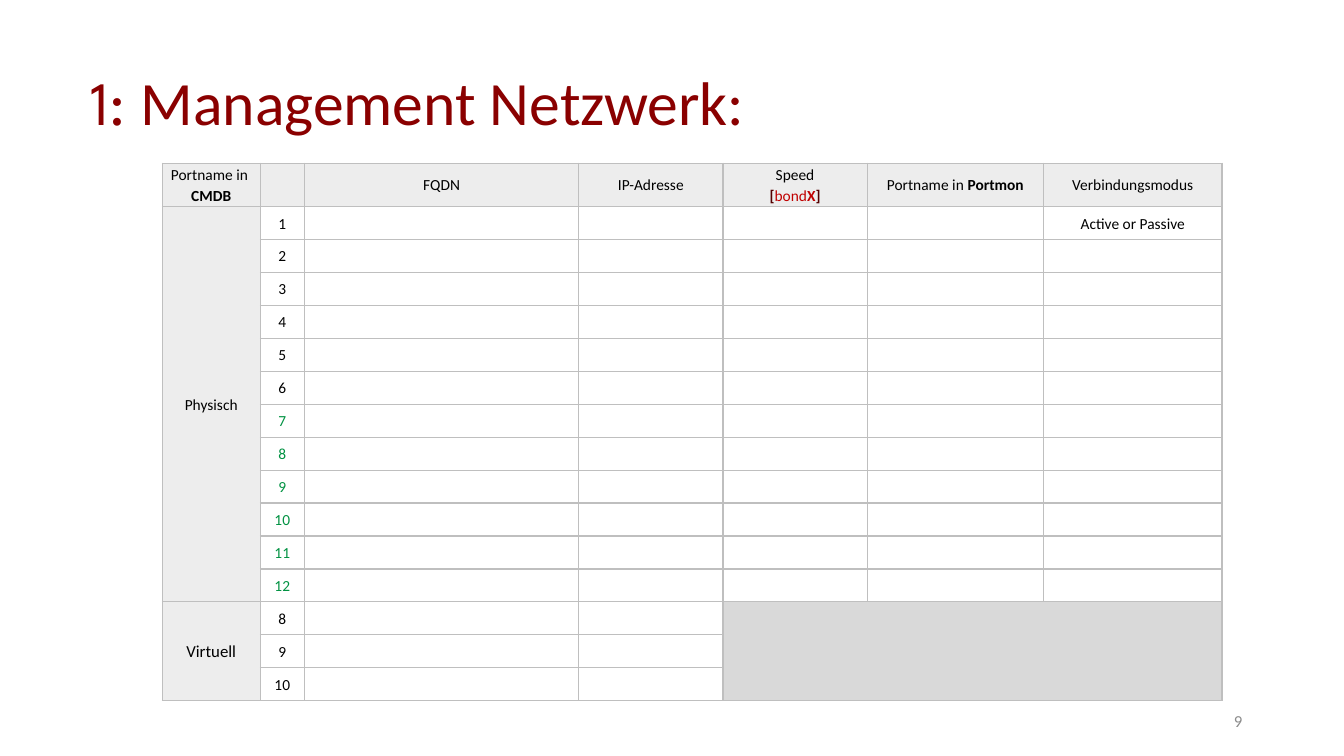
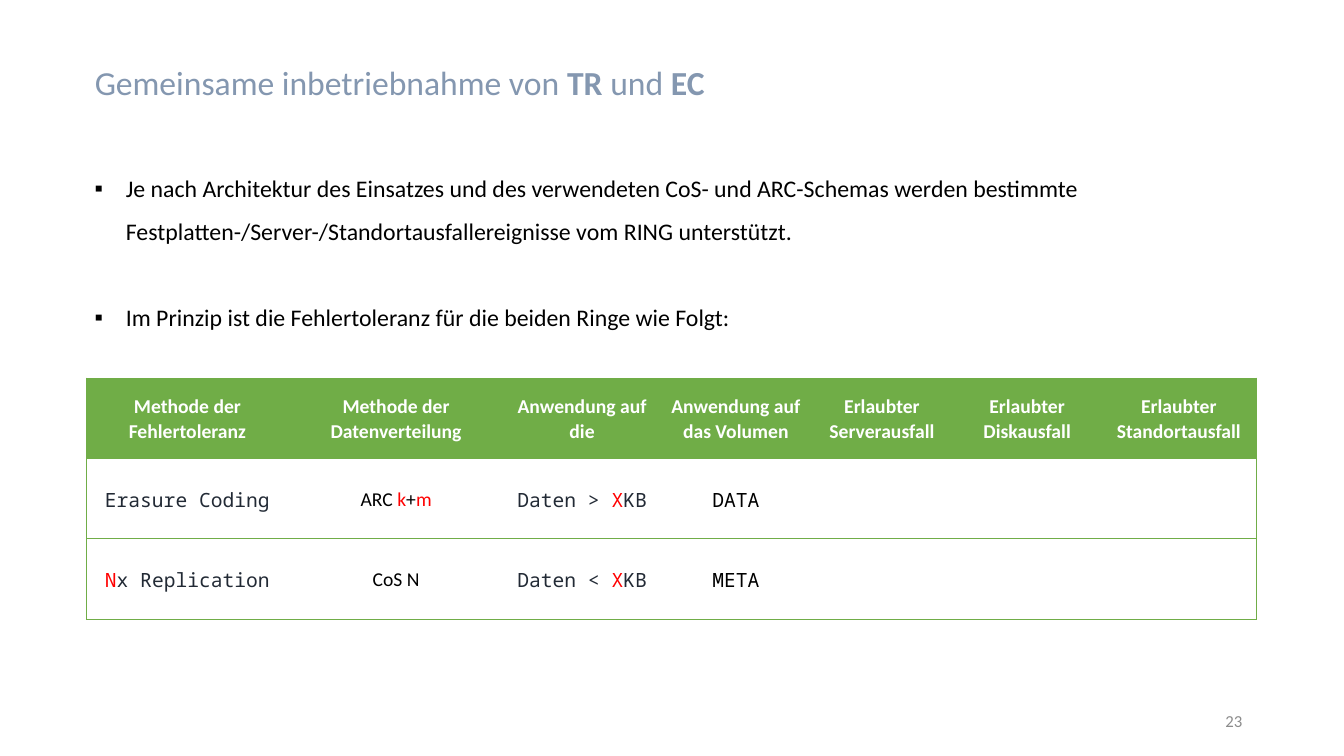
import dataclasses
import typing

import pptx
import pptx.dml.color
import pptx.enum.text
import pptx.oxml
import pptx.oxml.ns
import pptx.util

RGBColor = pptx.dml.color.RGBColor
Pt = pptx.util.Pt
PP_ALIGN = pptx.enum.text.PP_ALIGN
MSO_ANCHOR = pptx.enum.text.MSO_ANCHOR

BLACK = RGBColor(0x00, 0x00, 0x00)
WHITE = RGBColor(0xFF, 0xFF, 0xFF)
RED = RGBColor(0xFF, 0x00, 0x00)
DARK_RED = RGBColor(0x8A, 0x00, 0x00)
BRACKET_RED = RGBColor(0x54, 0x00, 0x00)
BOND_RED = RGBColor(0xC0, 0x00, 0x00)
GREEN = RGBColor(0x70, 0xAD, 0x47)
PORT_GREEN = RGBColor(0x00, 0x92, 0x42)
STEEL_BLUE = RGBColor(0x84, 0x97, 0xB0)
NAVY = RGBColor(0x22, 0x2A, 0x35)
GRID_GREY = RGBColor(0xBF, 0xBF, 0xBF)
LABEL_GREY = RGBColor(0xED, 0xED, 0xED)
BLOCKED_GREY = RGBColor(0xD9, 0xD9, 0xD9)
NUMBER_GREY = RGBColor(0x8C, 0x8C, 0x8C)

BODY_FONT = "Calibri"
MONO_FONT = "Noto Sans Mono"
DISPLAY_FONT = "League Spartan"


@dataclasses.dataclass
class Piece:
    """A stretch of text in one look."""
    text: str
    color: RGBColor = BLACK
    bold: bool = False
    font: str = BODY_FONT
    size: typing.Optional[float] = None


@dataclasses.dataclass
class Cell:
    lines: list = dataclasses.field(default_factory=list)
    fill: RGBColor = WHITE


def cell(*pieces, fill=WHITE):
    """A cell with one line of text."""
    return Cell([list(pieces)], fill)


def mono(text, color=NAVY):
    return Piece(text, color, font=MONO_FONT)


def add_xml(parent, tag, body="", **attributes):
    pairs = "".join(f' {key}="{value}"' for key, value in attributes.items())
    element = pptx.oxml.parse_xml(
        f"<a:{tag} {pptx.oxml.ns.nsdecls('a')}{pairs}>{body}</a:{tag}>")
    parent.append(element)
    return element


class Deck:
    """Style and current slide; lengths are percentages of the slide's size."""

    def __init__(self):
        self.presentation = pptx.Presentation()
        self.presentation.slide_width = pptx.util.Inches(13.33)
        self.presentation.slide_height = pptx.util.Inches(7.5)
        self.slide = None

    def across(self, share):
        return round(self.presentation.slide_width * share / 100)

    def down(self, share):
        return round(self.presentation.slide_height * share / 100)

    def place(self, left, top, width, height):
        return (self.across(left), self.down(top),
                self.across(width), self.down(height))

    def add_pieces(self, paragraph, pieces, size):
        for piece in pieces:
            run = paragraph.add_run()
            run.text = piece.text
            run.font.size = Pt(piece.size or size)
            run.font.name = piece.font
            run.font.bold = piece.bold
            run.font.color.rgb = piece.color

    def add_slide(self, number):
        layout = self.presentation.slide_layouts[5]
        self.slide = self.presentation.slides.add_slide(layout)
        page = self.slide.shapes.add_textbox(
            *self.place(70.67, 92.67, 22.5, 5.33)).text_frame
        page.word_wrap = True
        page.vertical_anchor = MSO_ANCHOR.MIDDLE
        page.paragraphs[0].alignment = PP_ALIGN.RIGHT
        self.add_pieces(page.paragraphs[0], [Piece(number, NUMBER_GREY)], 12)

    def title(self, area, pieces, size, shadow=False):
        heading = self.slide.shapes.title
        heading.left, heading.top, heading.width, heading.height = self.place(*area)
        frame = heading.text_frame
        frame.word_wrap = True
        frame.auto_size = pptx.enum.text.MSO_AUTO_SIZE.NONE
        frame.vertical_anchor = MSO_ANCHOR.TOP
        frame.paragraphs[0].alignment = PP_ALIGN.LEFT
        self.add_pieces(frame.paragraphs[0], pieces, size)
        if shadow:
            for run in frame.paragraphs[0].runs:
                self.cast_shadow(run)

    def cast_shadow(self, run):
        properties = run.font._element
        effects = add_xml(
            properties, "effectLst",
            '<a:outerShdw blurRad="50800" dist="38100" dir="2700000" algn="tl">'
            '<a:srgbClr val="000000"><a:alpha val="40000"/></a:srgbClr>'
            '</a:outerShdw>')
        properties.find(pptx.oxml.ns.qn("a:solidFill")).addnext(effects)

    def bullets(self, area, texts, size, gap):
        frame = self.slide.shapes.add_textbox(*self.place(*area)).text_frame
        frame.word_wrap = True
        for index, text in enumerate(texts):
            paragraph = frame.add_paragraph() if index else frame.paragraphs[0]
            paragraph.line_spacing = 1.5
            paragraph.space_before = Pt(gap if index else 0)
            self.add_pieces(paragraph, [Piece(text)], size)
            properties = paragraph._p.get_or_add_pPr()
            indent = pptx.util.Inches(0.31)
            properties.set("marL", str(indent))
            properties.set("indent", str(-indent))
            add_xml(properties, "buFont", typeface="Arial")
            add_xml(properties, "buChar", char="▪")

    def border(self, target, color, width, sides):
        """Draw the given sides of a cell and clear the others."""
        properties = target._tc.get_or_add_tcPr()
        for side in "LRTB":
            line = (f'<a:solidFill><a:srgbClr val="{color}"/></a:solidFill>'
                    if side in sides else "<a:noFill/>")
            add_xml(properties, f"ln{side}", line, w=Pt(width))

    def table(self, corner, widths, heights, rows, size, line, inner_columns=True):
        """line is colour and width; without inner_columns only the frame is upright."""
        area = self.place(*corner, sum(widths), sum(heights))
        grid = self.slide.shapes.add_table(len(rows), len(widths), *area).table
        grid.horz_banding = False
        for column, width in zip(grid.columns, widths):
            column.width = self.across(width)
        for row, height in zip(grid.rows, heights):
            row.height = self.down(height)
        last = len(widths) - 1
        for r, row in enumerate(rows):
            for c, content in enumerate(row):
                target = grid.cell(r, c)
                sides = "TB"
                sides += "L" if inner_columns or c == 0 else ""
                sides += "R" if inner_columns or c == last else ""
                self.border(target, *line, sides)
                target.fill.solid()
                target.fill.fore_color.rgb = content.fill
                target.margin_left = target.margin_right = pptx.util.Inches(0.07)
                target.margin_top = target.margin_bottom = 0
                target.vertical_anchor = MSO_ANCHOR.MIDDLE
                frame = target.text_frame
                for index, pieces in enumerate(content.lines):
                    paragraph = frame.add_paragraph() if index else frame.paragraphs[0]
                    paragraph.alignment = PP_ALIGN.CENTER
                    paragraph.line_spacing = 1.07
                    self.add_pieces(paragraph, pieces, size)
        return grid


def management_network(deck):
    deck.add_slide("9")
    deck.title((6, 7.73, 88.3, 11.2),
               [Piece("1: ", DARK_RED, font=DISPLAY_FONT),
                Piece("Management Netzwerk:", DARK_RED)], 44, shadow=True)
    header = [
        Cell([[Piece("Portname in ")], [Piece("CMDB", bold=True)]]),
        Cell(),
        cell(Piece("FQDN")),
        cell(Piece("IP-Adresse")),
        Cell([[Piece("Speed")],
              [Piece("[", BRACKET_RED, True), Piece("bond", BOND_RED),
               Piece("X", BOND_RED, True), Piece("]", BRACKET_RED, True)]]),
        cell(Piece("Portname in "), Piece("Portmon", bold=True)),
        cell(Piece("Verbindungsmodus")),
    ]
    for label in header:
        label.fill = LABEL_GREY

    physical, virtual = range(1, 13), range(8, 11)
    rows = [header]
    for port in physical:
        color = PORT_GREEN if port > 6 else BLACK
        rows.append([Cell(fill=LABEL_GREY), cell(Piece(str(port), color))]
                    + [Cell() for _ in range(5)])
    for port in virtual:
        rows.append([Cell(fill=LABEL_GREY), cell(Piece(str(port))), Cell(), Cell()]
                    + [Cell(fill=BLOCKED_GREY) for _ in range(3)])
    first_virtual = 1 + len(physical)
    rows[1][0].lines = [[Piece("Physisch")]]
    rows[1][6].lines = [[Piece("Active or Passive")]]
    rows[first_virtual][0].lines = [[Piece("Virtuell", size=12)]]

    ports = deck.table((12.08, 21.6), [7.28, 3.3, 20.41, 10.73, 10.73, 13.13, 13.28],
                       [5.73] + [4.36] * (len(rows) - 1), rows, 11, (GRID_GREY, 1))
    last = len(rows) - 1
    for top, left, bottom, right in [(1, 0, first_virtual - 1, 0),
                                     (first_virtual, 0, last, 0),
                                     (first_virtual, 4, last, 6)]:
        ports.cell(top, left).merge(ports.cell(bottom, right))


def fault_tolerance(deck):
    deck.add_slide("23")
    deck.title((6.3, 7.47, 88.3, 6.67),
               [Piece("Gemeinsame inbetriebnahme von", STEEL_BLUE),
                Piece(" TR ", STEEL_BLUE, True),
                Piece("und", STEEL_BLUE),
                Piece(" EC", STEEL_BLUE, True)], 24)
    deck.bullets((6.3, 20.4, 86.35, 24.27), [
        "Je nach Architektur des Einsatzes und des verwendeten CoS- und ARC-Schemas "
        "werden bestimmte Festplatten-/Server-/Standortausfallereignisse vom RING "
        "unterstützt.",
        "Im Prinzip ist die Fehlertoleranz für die beiden Ringe wie Folgt:",
    ], 17, gap=31)
    headings = ["Methode der Fehlertoleranz", "Methode der Datenverteilung",
                "Anwendung auf die", "Anwendung auf das Volumen",
                "Erlaubter Serverausfall", "Erlaubter Diskausfall",
                "Erlaubter Standortausfall"]
    methods = [
        ([mono("Erasure Coding")],
         [Piece("ARC "), Piece("k", RED), Piece("+"), Piece("m", RED)], ">", "DATA"),
        ([mono("N", RED), mono("x Replication")], [Piece("CoS N")], "<", "META"),
    ]
    rows = [[cell(Piece(text, WHITE, True), fill=GREEN) for text in headings]]
    for method, distribution, relation, volume in methods:
        rows.append([
            cell(*method),
            cell(*distribution),
            cell(mono(f"Daten {relation} "), mono("X", RED), mono("KB")),
            cell(mono(volume, BLACK)),
        ] + [Cell() for _ in range(3)])
    deck.table((6.45, 50), [15, 16.05, 11.63, 11.25, 10.5, 11.1, 11.48],
               [10.64] * len(rows), rows, 14, (GREEN, 0.5), inner_columns=False)


def main():
    deck = Deck()
    management_network(deck)
    fault_tolerance(deck)
    deck.presentation.save("out.pptx")


if __name__ == "__main__":
    main()
